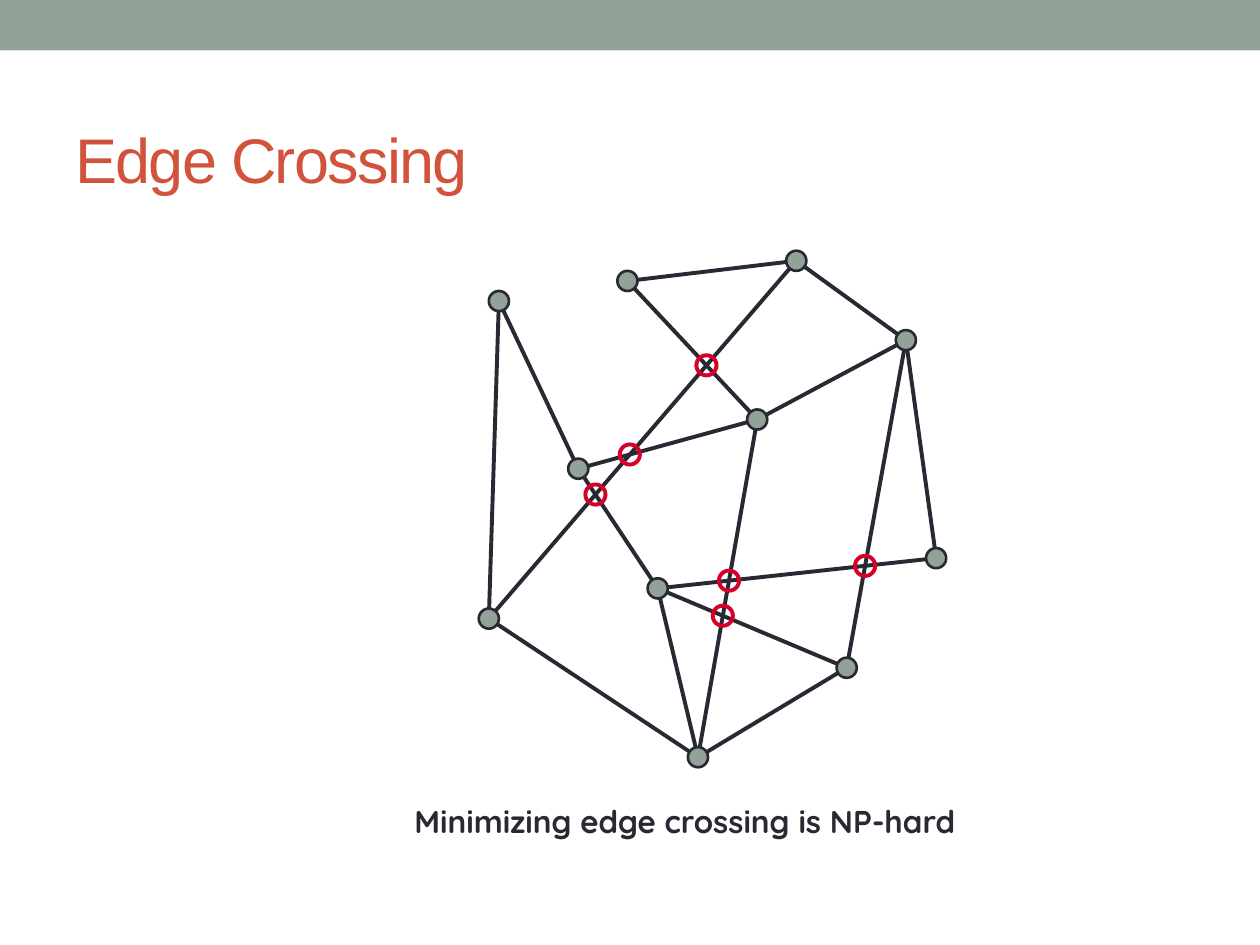
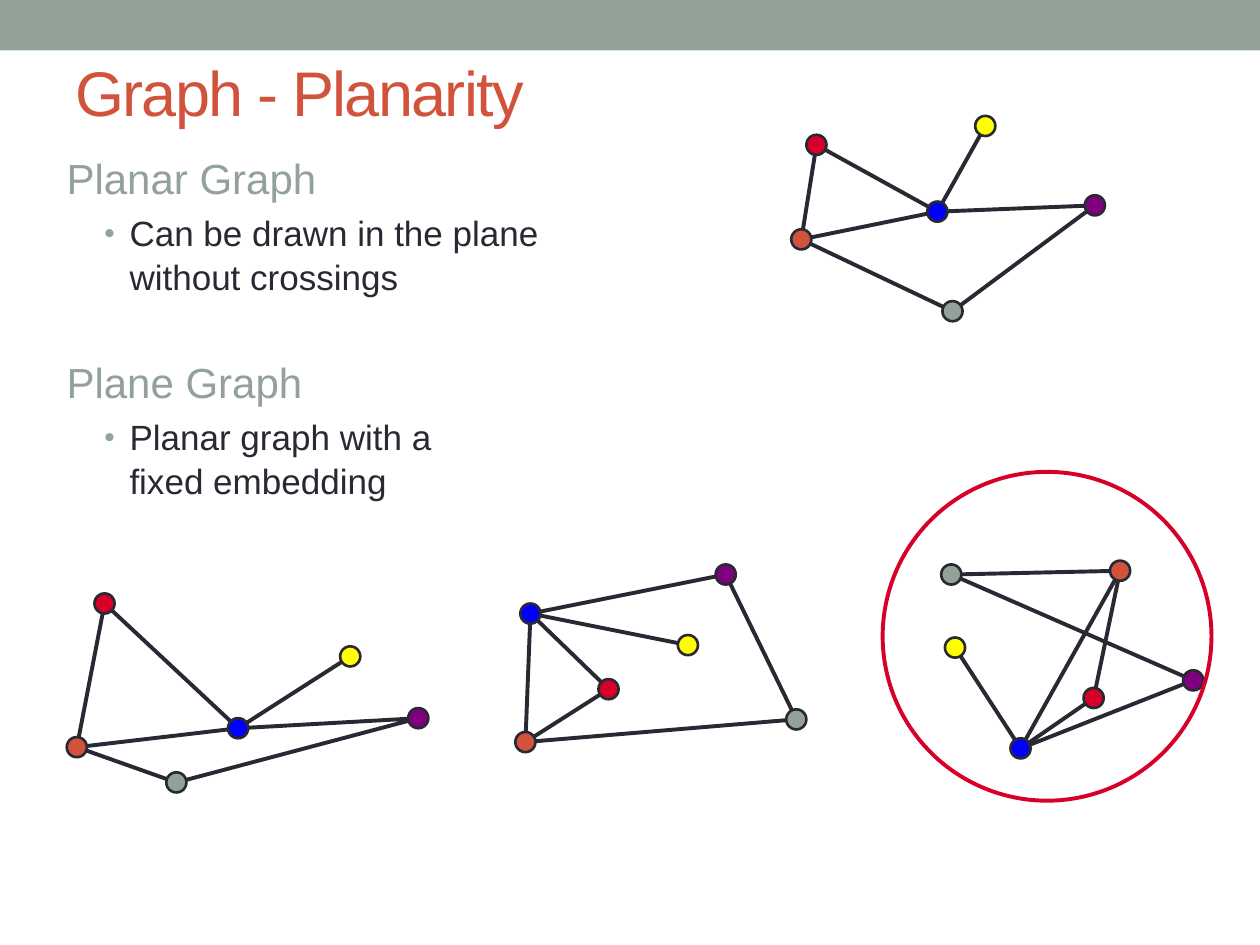
from itertools import combinations, pairwise

from lxml import etree
from pptx import Presentation
from pptx.dml.color import RGBColor
from pptx.enum.shapes import MSO_CONNECTOR, MSO_SHAPE
from pptx.enum.text import MSO_ANCHOR
from pptx.oxml.ns import qn
from pptx.util import Inches, Pt

STRAIGHT = MSO_CONNECTOR.STRAIGHT
OVAL = MSO_SHAPE.OVAL
RECTANGLE = MSO_SHAPE.RECTANGLE
MIDDLE = MSO_ANCHOR.MIDDLE
TOP = MSO_ANCHOR.TOP

SAGE = RGBColor(0x93, 0xA2, 0x99)
RUST = RGBColor(0xD2, 0x53, 0x3C)
INK = RGBColor(0x29, 0x29, 0x34)
RED = RGBColor(0xD6, 0x00, 0x29)
YELLOW = RGBColor(0xFF, 0xFF, 0x00)
PURPLE = RGBColor(0x80, 0x00, 0x80)
BLUE = RGBColor(0x00, 0x00, 0xFF)

COLUMNS, ROWS = 100, 75
CELL = Inches(0.1)
NODE_SIZE = 1.6
EDGE_WIDTH, NODE_WIDTH = 2.25, 1.5

CROSSING_NODES = {
    "A": (0.8, 29.1), "B": (7.9, 17.2), "C": (25.2, 0.7), "D": (29.2, 33),
    "E": (14.2, 26.7), "F": (1.6, 3.9), "G": (11.8, 2.3), "H": (33.9, 7),
    "I": (22.1, 13.3), "J": (17.4, 40.1), "K": (36.3, 24.3),
}
CROSSING_ROUTES = ["AFBIG", "ACHKEB", "AJDH", "JI", "IH", "JE", "ED", "GC"]

PLANAR_COLOURS = {"o": RUST, "y": YELLOW, "r": RED, "p": PURPLE, "g": SAGE, "b": BLUE}
PLANAR_ROUTES = ["or", "rbpgob", "by"]
EMBEDDINGS = [
    ((63, 9), [(0.6, 10), (15.2, 1), (1.8, 2.5), (23.9, 7.3), (12.6, 15.7), (11.4, 7.8)]),
    ((5, 47), [(1.1, 12.3), (22.8, 5.1), (3.3, 0.9), (28.2, 10), (9, 15.1), (13.9, 10.8)]),
    ((40, 45), [(1.7, 13.9), (14.6, 6.2), (8.3, 9.7), (17.6, 0.6), (23.2, 12.1), (2.1, 3.7)]),
    ((70, 37.5), [(18.9, 7.8), (5.8, 13.9), (16.8, 17.9), (24.7, 16.5), (5.5, 8.1), (11, 21.9)]),
]
RING_CENTRE, RING_SIZE = (83.1, 50.5), 26.1

DEFINITIONS = [
    ("Planar Graph", "Can be drawn in the plane without crossings"),
    ("Plane Graph", "Planar graph with a\vfixed embedding"),
]


def grid(*lengths):
    """Turn grid units into slide lengths."""
    return [int(length * CELL) for length in lengths]


def style_shape(shape, fill=None, line=None, width=EDGE_WIDTH):
    """Give a shape its fill and outline, without shadow."""
    shape.shadow.inherit = False
    if fill is None:
        shape.fill.background()
    else:
        shape.fill.solid()
        shape.fill.fore_color.rgb = fill
    if line is None:
        shape.line.fill.background()
    else:
        shape.line.color.rgb = line
        shape.line.width = Pt(width)


def style_para(para, size, colour, face="Arial", bold=False):
    """Set the font of a whole paragraph."""
    font = para.font
    font.name, font.size, font.bold = face, Pt(size), bold
    font.color.rgb = colour


def add_text_box(page, box, anchor=TOP, wrap=True):
    """Add an empty text box and return its frame."""
    frame = page.shapes.add_textbox(*grid(*box)).text_frame
    frame.word_wrap = wrap
    frame.vertical_anchor = anchor
    return frame


def add_page(deck, title, title_top):
    """Add a page with the top band and its title."""
    page = deck.slides.add_slide(deck.slide_layouts[6])
    band = page.shapes.add_shape(RECTANGLE, *grid(0, 0, COLUMNS, 4))
    style_shape(band, SAGE)
    para = add_text_box(page, (5, title_top, 90, 7.1), MIDDLE).paragraphs[0]
    span = para.add_run()
    span.text = title
    span._r.get_or_add_rPr().set("spc", "-100")
    style_para(para, 36, RUST)
    return page


def add_circle(page, centre, size=NODE_SIZE, fill=None, line=RED, width=EDGE_WIDTH):
    """Draw a circle around a centre."""
    x, y = centre
    circle = page.shapes.add_shape(OVAL, *grid(x - size / 2, y - size / 2, size, size))
    style_shape(circle, fill, line, width)


def add_route(page, points):
    """Draw one edge as a connector, or a chain of edges as an outline."""
    start, *rest = [tuple(grid(*point)) for point in points]
    if len(rest) == 1:
        edge = page.shapes.add_connector(STRAIGHT, *start, *rest[0])
        edge.line.color.rgb = INK
        edge.line.width = Pt(EDGE_WIDTH)
        etree.SubElement(edge._element.spPr, qn("a:effectLst"))
    else:
        builder = page.shapes.build_freeform(*start)
        builder.add_line_segments(rest, close=False)
        style_shape(builder.convert_to_shape(), line=INK)


def add_graph(page, origin, nodes, routes, colours):
    """Draw a graph from its origin and return the placed nodes."""
    left, top = origin
    placed = {name: (left + x, top + y) for name, (x, y) in nodes.items()}
    for route in routes:
        add_route(page, [placed[name] for name in route])
    for name, centre in placed.items():
        add_circle(page, centre, fill=colours[name], line=INK, width=NODE_WIDTH)
    return placed


def find_crossing(first, second):
    """Return the point where two edges cross, or None."""
    (ax, ay), (bx, by) = first
    (cx, cy), (dx, dy) = second
    ux, uy, vx, vy = bx - ax, by - ay, dx - cx, dy - cy
    area = ux * vy - uy * vx
    if area == 0:
        return None
    along_first = ((cx - ax) * vy - (cy - ay) * vx) / area
    along_second = ((cx - ax) * uy - (cy - ay) * ux) / area
    if 0 < along_first < 1 and 0 < along_second < 1:
        return ax + along_first * ux, ay + along_first * uy
    return None


def mark_crossings(page, placed, routes):
    """Ring every point where edges without a shared node cross."""
    edges = [edge for route in routes for edge in pairwise(route)]
    for first, second in combinations(edges, 2):
        if set(first) & set(second):
            continue
        point = find_crossing([placed[n] for n in first], [placed[n] for n in second])
        if point:
            add_circle(page, point)


def add_bullet(para):
    """Give a paragraph a hanging sage bullet."""
    props = para._p.get_or_add_pPr()
    props.set("marL", str(Inches(0.5)))
    props.set("indent", str(-Inches(0.2)))
    colour = etree.SubElement(props, qn("a:buClr"))
    etree.SubElement(colour, qn("a:srgbClr")).set("val", str(SAGE))
    etree.SubElement(props, qn("a:buSzPct")).set("val", "85000")
    etree.SubElement(props, qn("a:buFont")).set("typeface", "Arial")
    etree.SubElement(props, qn("a:buChar")).set("char", "•")


def add_definitions(page, box):
    """List each term with its bulleted meaning."""
    frame = add_text_box(page, box)
    for index, (term, meaning) in enumerate(DEFINITIONS):
        heading = frame.add_paragraph() if index else frame.paragraphs[0]
        heading.text = term
        heading.line_spacing = 1.05
        if index:
            heading.space_before = Pt(32)
        style_para(heading, 24, SAGE)
        detail = frame.add_paragraph()
        detail.text = meaning
        detail.line_spacing = 1.05
        detail.space_before = Pt(4)
        add_bullet(detail)
        style_para(detail, 20, INK)


def build_crossing_page(deck):
    """Show a graph with its edge crossings ringed."""
    page = add_page(deck, "Edge Crossing", 9)
    colours = dict.fromkeys(CROSSING_NODES, SAGE)
    placed = add_graph(page, (38, 20), CROSSING_NODES, CROSSING_ROUTES, colours)
    mark_crossings(page, placed, CROSSING_ROUTES)
    caption = add_text_box(page, (31.9, 63.2, 46.1, 4), wrap=False).paragraphs[0]
    caption.text = "Minimizing edge crossing is NP-hard"
    style_para(caption, 18, INK, "Quicksand", True)


def build_planarity_page(deck):
    """Define planarity beside four drawings of one graph."""
    page = add_page(deck, "Graph - Planarity", 3.7)
    add_definitions(page, (4.3, 11.4, 42.6, 32.4))
    for origin, centres in EMBEDDINGS:
        nodes = dict(zip(PLANAR_COLOURS, centres))
        add_graph(page, origin, nodes, PLANAR_ROUTES, PLANAR_COLOURS)
    add_circle(page, RING_CENTRE, RING_SIZE)


def main():
    """Build and save the deck."""
    deck = Presentation()
    deck.slide_width, deck.slide_height = grid(COLUMNS, ROWS)
    build_crossing_page(deck)
    build_planarity_page(deck)
    deck.save("out.pptx")


if __name__ == "__main__":
    main()
